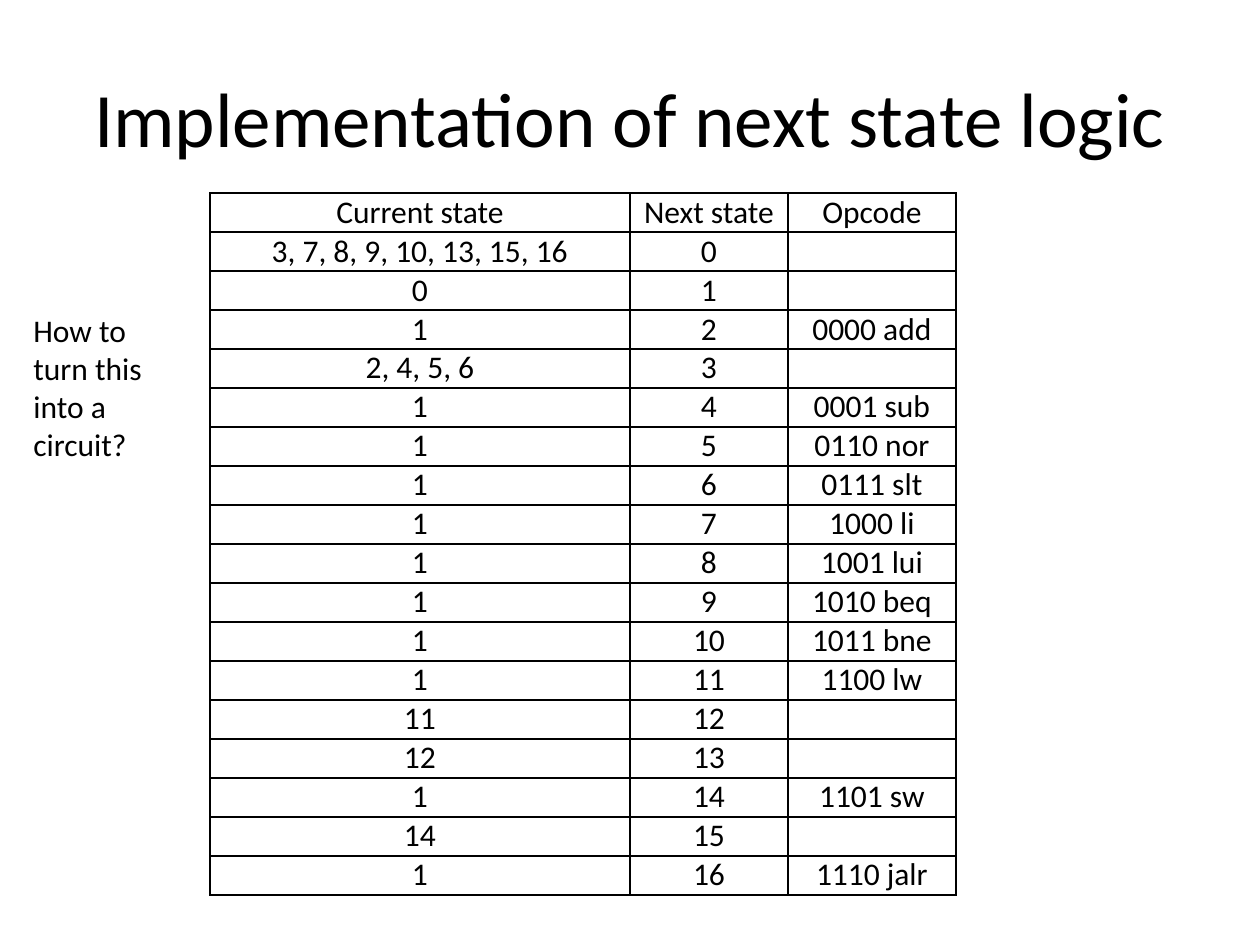
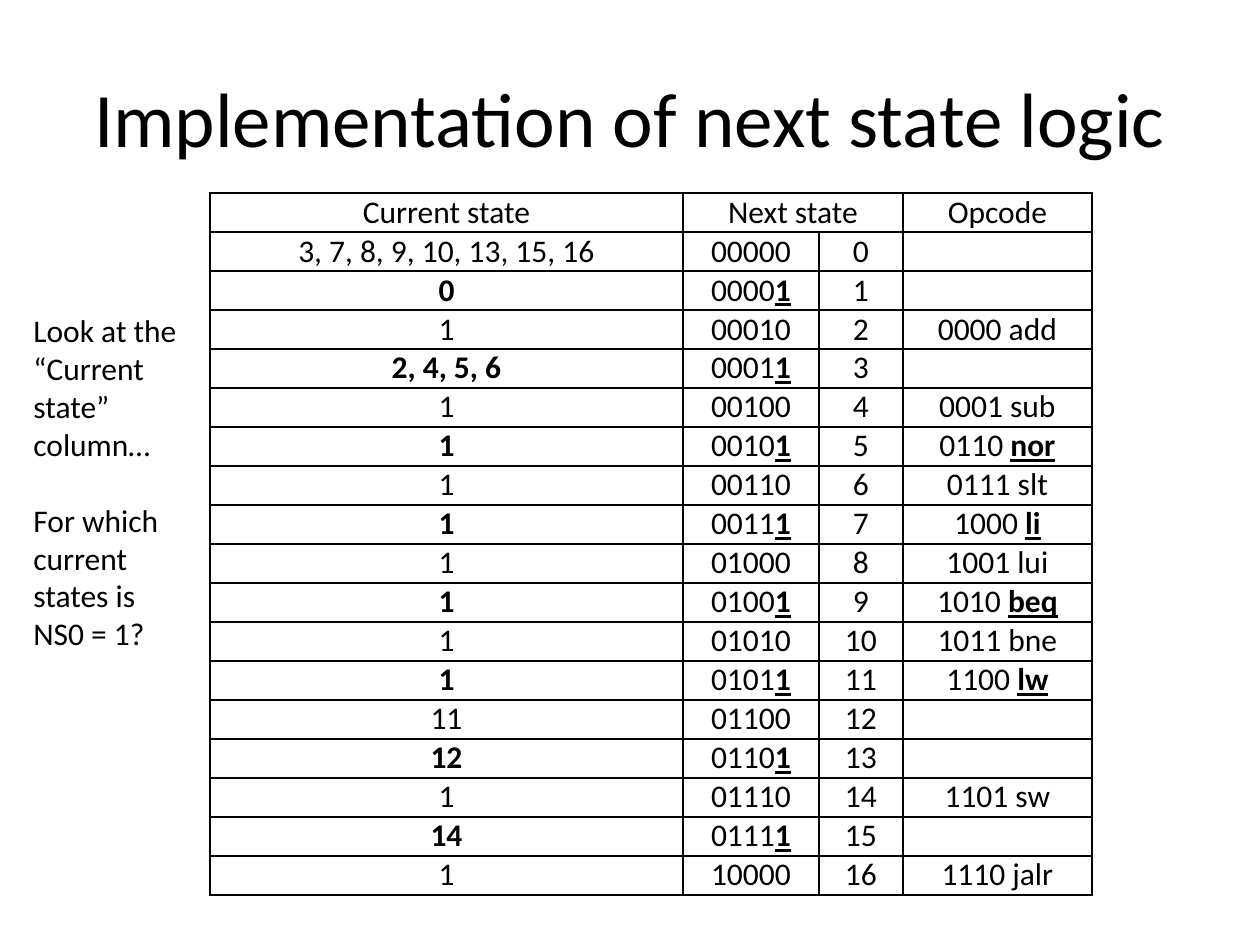
from dataclasses import dataclass

import lxml.etree
import pptx
import pptx.dml.color
import pptx.enum.text
import pptx.oxml.ns
import pptx.util

EMU_PER_PX = 914400 / 126
ALIGN = pptx.enum.text.PP_ALIGN


@dataclass(frozen=True)
class Theme:
    font: str = "Calibri"
    ink: str = "000000"
    title_size: int = 44
    body_size: int = 18
    border_pt: int = 1


@dataclass(frozen=True)
class Box:
    left: int
    top: int
    width: int
    height: int


@dataclass(frozen=True)
class CellText:
    """Cell wording; marked is a bold, underlined ending."""
    text: str = ""
    marked: str = ""
    bold: bool = False
    columns: int = 1


@dataclass(frozen=True)
class Transition:
    current: str
    opcode: str = ""
    mnemonic: str = ""


@dataclass(frozen=True)
class LogicSlide:
    note: tuple[str, ...]
    note_height: int
    column_widths: tuple[int, ...]
    rows: list[list[CellText]]


THEME = Theme()
SLIDE_WIDTH, SLIDE_HEIGHT = 1260, 945
TITLE = "Implementation of next state logic"
TITLE_BOX = Box(63, 38, 1134, 157)
TABLE_LEFT, TABLE_TOP, ROW_HEIGHT = 210, 193, 39
NOTE_LEFT, NOTE_TOP, NOTE_WIDTH = 21, 305, 168
NOTE_GAP_PT = 22

# The position in the list is the next state.
TRANSITIONS = [
    Transition("3, 7, 8, 9, 10, 13, 15, 16"),
    Transition("0"),
    Transition("1", "0000", "add"),
    Transition("2, 4, 5, 6"),
    Transition("1", "0001", "sub"),
    Transition("1", "0110", "nor"),
    Transition("1", "0111", "slt"),
    Transition("1", "1000", "li"),
    Transition("1", "1001", "lui"),
    Transition("1", "1010", "beq"),
    Transition("1", "1011", "bne"),
    Transition("1", "1100", "lw"),
    Transition("11"),
    Transition("12"),
    Transition("1", "1101", "sw"),
    Transition("14"),
    Transition("1", "1110", "jalr"),
]


def px(length: int) -> pptx.util.Emu:
    return pptx.util.Emu(round(length * EMU_PER_PX))


def write_text(frame, text: str, *, marked: str = "", size: int = THEME.body_size,
               bold: bool = False, align=ALIGN.LEFT, space_before: int = 0) -> None:
    """Write one paragraph, after any that the frame already holds."""
    paragraph = frame.add_paragraph() if frame.text else frame.paragraphs[0]
    paragraph.alignment = align
    if space_before:
        paragraph.space_before = pptx.util.Pt(space_before)
    for content, is_marked in ((text, False), (marked, True)):
        if not content:
            continue
        run = paragraph.add_run()
        run.text = content
        run.font.name = THEME.font
        run.font.size = pptx.util.Pt(size)
        run.font.bold = bold or is_marked
        run.font.underline = is_marked
        run.font.color.rgb = pptx.dml.color.RGBColor.from_string(THEME.ink)


def add_text_frame(slide, box: Box):
    shape = slide.shapes.add_textbox(px(box.left), px(box.top), px(box.width), px(box.height))
    shape.text_frame.word_wrap = True
    return shape.text_frame


def add_title(slide) -> None:
    frame = add_text_frame(slide, TITLE_BOX)
    frame.vertical_anchor = pptx.enum.text.MSO_ANCHOR.MIDDLE
    write_text(frame, TITLE, size=THEME.title_size, align=ALIGN.CENTER)


def add_note(slide, paragraphs: tuple[str, ...], height: int) -> None:
    frame = add_text_frame(slide, Box(NOTE_LEFT, NOTE_TOP, NOTE_WIDTH, height))
    frame.auto_size = pptx.enum.text.MSO_AUTO_SIZE.SHAPE_TO_FIT_TEXT
    for index, text in enumerate(paragraphs):
        write_text(frame, text, space_before=NOTE_GAP_PT if index else 0)


def style_cell(cell) -> None:
    """Remove fill and margins, and draw a line on all four sides."""
    cell.fill.background()
    cell.margin_left = cell.margin_right = cell.margin_top = cell.margin_bottom = 0
    qn = pptx.oxml.ns.qn
    properties = cell._tc.get_or_add_tcPr()
    for index, side in enumerate("LRTB"):
        line = lxml.etree.Element(qn(f"a:ln{side}"), w=str(pptx.util.Pt(THEME.border_pt)))
        fill = lxml.etree.SubElement(line, qn("a:solidFill"))
        lxml.etree.SubElement(fill, qn("a:srgbClr"), val=THEME.ink)
        properties.insert(index, line)


def add_state_table(slide, widths: tuple[int, ...], rows: list[list[CellText]]) -> None:
    table = slide.shapes.add_table(
        len(rows), len(widths), px(TABLE_LEFT), px(TABLE_TOP),
        px(sum(widths)), px(ROW_HEIGHT * len(rows))).table
    table.first_row = table.horz_banding = False
    for column, width in zip(table.columns, widths):
        column.width = px(width)
    for cell in table.iter_cells():
        style_cell(cell)
    for row_index, row in enumerate(rows):
        table.rows[row_index].height = px(ROW_HEIGHT)
        column_index = 0
        for content in row:
            cell = table.cell(row_index, column_index)
            write_text(cell.text_frame, content.text, marked=content.marked,
                       bold=content.bold, align=ALIGN.CENTER)
            column_index += content.columns
            if content.columns > 1:
                cell.merge(table.cell(row_index, column_index - 1))


def header_row(next_state_columns: int) -> list[CellText]:
    return [CellText("Current state"),
            CellText("Next state", columns=next_state_columns),
            CellText("Opcode")]


def decimal_rows() -> list[list[CellText]]:
    rows = [header_row(1)]
    for state, step in enumerate(TRANSITIONS):
        rows.append([CellText(step.current), CellText(str(state)),
                     CellText(f"{step.opcode} {step.mnemonic}".strip())])
    return rows


def binary_rows() -> list[list[CellText]]:
    """Rows with binary next states, stressing those whose lowest bit is 1."""
    rows = [header_row(2)]
    for state, step in enumerate(TRANSITIONS):
        bits = f"{state:05b}"
        if state % 2:
            bit_cell = CellText(bits[:-1], marked=bits[-1])
            opcode_cell = CellText(step.opcode and f"{step.opcode} ", marked=step.mnemonic)
        else:
            bit_cell = CellText(bits)
            opcode_cell = CellText(f"{step.opcode} {step.mnemonic}".strip())
        rows.append([CellText(step.current, bold=bool(state % 2)), bit_cell,
                     CellText(str(state)), opcode_cell])
    return rows


def main() -> None:
    presentation = pptx.Presentation()
    presentation.slide_width, presentation.slide_height = px(SLIDE_WIDTH), px(SLIDE_HEIGHT)
    logic_slides = [
        LogicSlide(("How to turn this into a circuit?",), 165,
                   (420, 158, 168), decimal_rows()),
        LogicSlide(("Look at the “Current state” column…",
                    "For which current states is NS0 = 1?"), 394,
                   (473, 136, 84, 189), binary_rows()),
    ]
    for content in logic_slides:
        slide = presentation.slides.add_slide(presentation.slide_layouts[6])
        add_title(slide)
        add_state_table(slide, content.column_widths, content.rows)
        add_note(slide, content.note, content.note_height)
    presentation.save("out.pptx")


if __name__ == "__main__":
    main()
